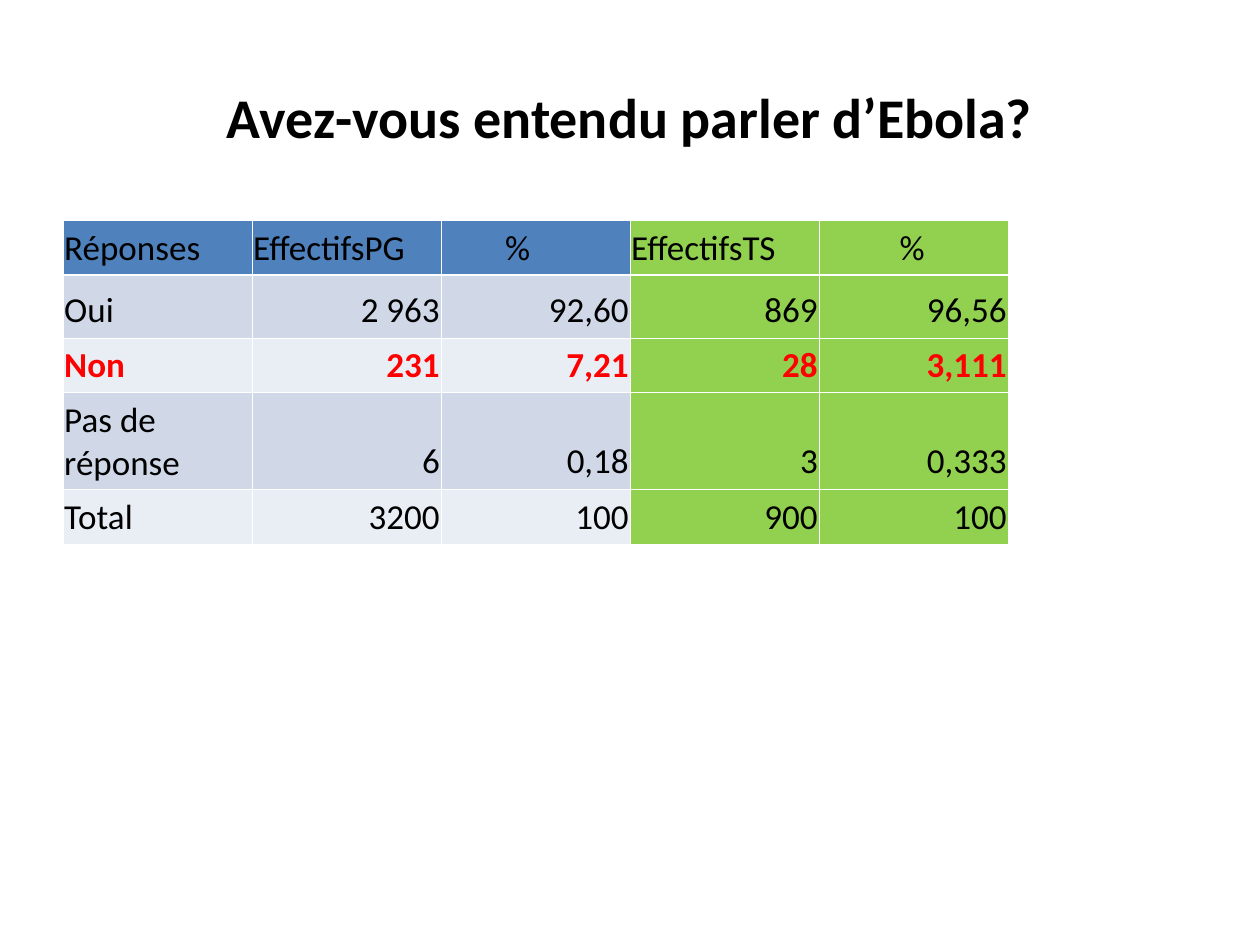
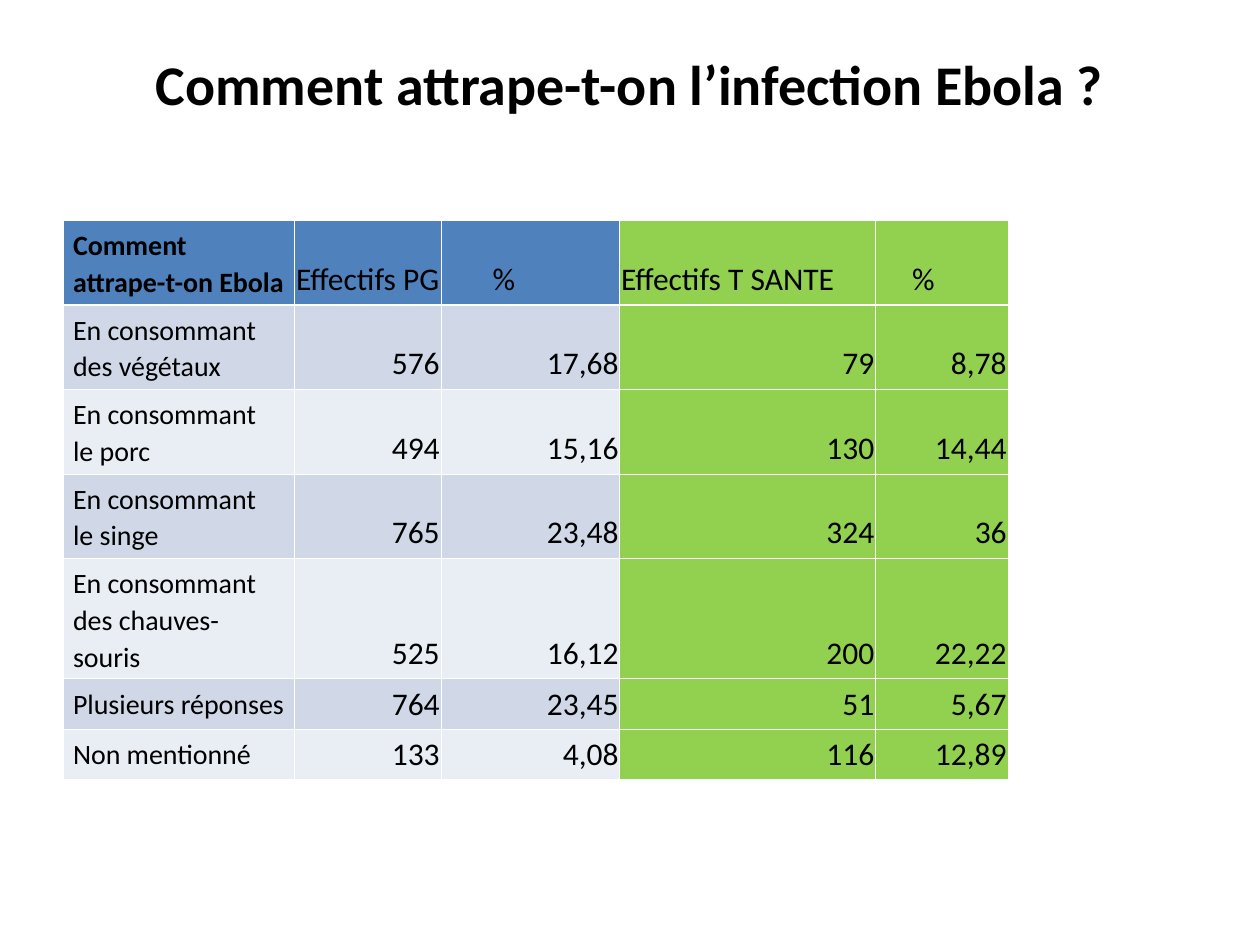
from lxml.etree import SubElement
from pptx import Presentation
from pptx.dml.color import RGBColor
from pptx.enum.text import MSO_ANCHOR, PP_ALIGN
from pptx.oxml.ns import qn
from pptx.util import Inches, Pt

BLACK = RGBColor(0x00, 0x00, 0x00)
RED = RGBColor(0xFF, 0x00, 0x00)
WHITE = RGBColor(0xFF, 0xFF, 0xFF)
BLUE = RGBColor(0x4F, 0x81, 0xBD)
GREEN = RGBColor(0x92, 0xD0, 0x50)
BANDS = [RGBColor(0xD0, 0xD8, 0xE8), RGBColor(0xE9, 0xED, 0xF4)]
THIN, THICK = Pt(0.45), Pt(1.47)

deck = Presentation()
deck.slide_width, deck.slide_height = Inches(10), Inches(7.5)
UNIT = deck.slide_width / 10

questions = [
    {
        "title": "Avez-vous entendu parler d’Ebola?",
        "title_lift": 0,
        "columns": [1.5] * 5,
        "heights": [0.4, 0.5, 0.4, 0.69, 0.4],
        "size": 20,
        "label": {"size": 20, "margin": 0.01, "spacing": 1.0, "anchor": MSO_ANCHOR.BOTTOM},
        "bold_corner": False,
        "percent_indents": {2: 0.5, 4: 0.63},
        "highlight": "Non",
        "answers": [
            ["Réponses", "EffectifsPG", "%", "EffectifsTS", "%"],
            ["Oui", "2 963", "92,60", "869", "96,56"],
            ["Non", "231", "7,21", "28", "3,111"],
            ["Pas de réponse", "6", "0,18", "3", "0,333"],
            ["Total", "3200", "100", "900", "100"],
        ],
    },
    {
        "title": "Comment attrape-t-on l’infection Ebola ?",
        "title_lift": 0.53,
        "columns": [1.84, 1.16, 1.42, 2.03, 1.05],
        "heights": [0.62, 0.58, 0.58, 0.58, 0.87, 0.38, 0.38],
        "size": 18,
        "label": {"size": 16, "margin": 0.08, "spacing": 1.07, "anchor": MSO_ANCHOR.TOP},
        "bold_corner": True,
        "percent_indents": {2: 0.4, 4: 0.28},
        "highlight": None,
        "answers": [
            ["Comment attrape-t-on Ebola", "Effectifs PG", "%", "Effectifs T SANTE", "%"],
            ["En consommant des végétaux", "576", "17,68", "79", "8,78"],
            ["En consommant\nle porc", "494", "15,16", "130", "14,44"],
            ["En consommant\nle singe", "765", "23,48", "324", "36"],
            ["En consommant des chauves-souris", "525", "16,12", "200", "22,22"],
            ["Plusieurs réponses", "764", "23,45", "51", "5,67"],
            ["Non mentionné", "133", "4,08", "116", "12,89"],
        ],
    },
]


def write(paragraph, text, **font_values):
    paragraph.text = text
    for run in paragraph.runs:
        run.font.color.rgb = font_values.get("color", BLACK)
        run.font.name = "Calibri"
        run.font.size = Pt(font_values["size"])
        run.font.bold = font_values.get("bold", False)


def add_borders(cell, top, bottom):
    properties = cell._tc.get_or_add_tcPr()
    for side, width in {"L": THIN, "R": THIN, "T": top, "B": bottom}.items():
        line = SubElement(properties, qn(f"a:ln{side}"), w=str(int(width)))
        fill = SubElement(line, qn("a:solidFill"))
        SubElement(fill, qn("a:srgbClr"), val=str(WHITE))


for question in questions:
    slide = deck.slides.add_slide(deck.slide_layouts[6])
    heading = slide.shapes.add_textbox(
        int(0.5 * UNIT), int(0.3 * UNIT), int(9 * UNIT), int(1.25 * UNIT)
    ).text_frame
    heading.word_wrap = True
    heading.vertical_anchor = MSO_ANCHOR.MIDDLE
    heading.margin_bottom = int((0.05 + question["title_lift"]) * UNIT)
    write(heading.paragraphs[0], question["title"], size=32, bold=True)
    heading.paragraphs[0].alignment = PP_ALIGN.CENTER

    answers, label = question["answers"], question["label"]
    columns, heights = question["columns"], question["heights"]
    results = slide.shapes.add_table(
        len(answers), len(columns), int(0.5 * UNIT), int(1.75 * UNIT),
        int(sum(columns) * UNIT), int(sum(heights) * UNIT),
    ).table
    results.first_row = results.horz_banding = False
    for column, width in zip(results.columns, columns):
        column.width = int(width * UNIT)

    for r, answer in enumerate(answers):
        results.rows[r].height = int(heights[r] * UNIT)
        highlighted = answer[0] == question["highlight"]
        for c, value in enumerate(answer):
            cell = results.cell(r, c)
            is_label, is_header = c == 0, r == 0
            margin = label["margin"] if is_label else 0.01
            indent = question["percent_indents"].get(c, 0) if is_header else 0
            cell_format = {
                "margin_left": int((margin + indent) * UNIT),
                "margin_right": int(margin * UNIT),
                "margin_top": int(0.05 * UNIT),
                "margin_bottom": int(0.05 * UNIT),
                "vertical_anchor": label["anchor"] if is_label else MSO_ANCHOR.BOTTOM,
            }
            for attribute, setting in cell_format.items():
                setattr(cell, attribute, setting)

            add_borders(cell, THICK if r == 1 else THIN, THICK if is_header else THIN)
            cell.fill.solid()
            band = BLUE if is_header else BANDS[(r - 1) % 2]
            cell.fill.fore_color.rgb = GREEN if c >= 3 else band

            paragraph = cell.text_frame.paragraphs[0]
            write(
                paragraph, value,
                size=label["size"] if is_label else question["size"],
                color=RED if highlighted else BLACK,
                bold=highlighted or (is_header and is_label and question["bold_corner"]),
            )
            paragraph.alignment = PP_ALIGN.LEFT if is_label or is_header else PP_ALIGN.RIGHT
            if is_label:
                paragraph.line_spacing = label["spacing"]

deck.save("out.pptx")
